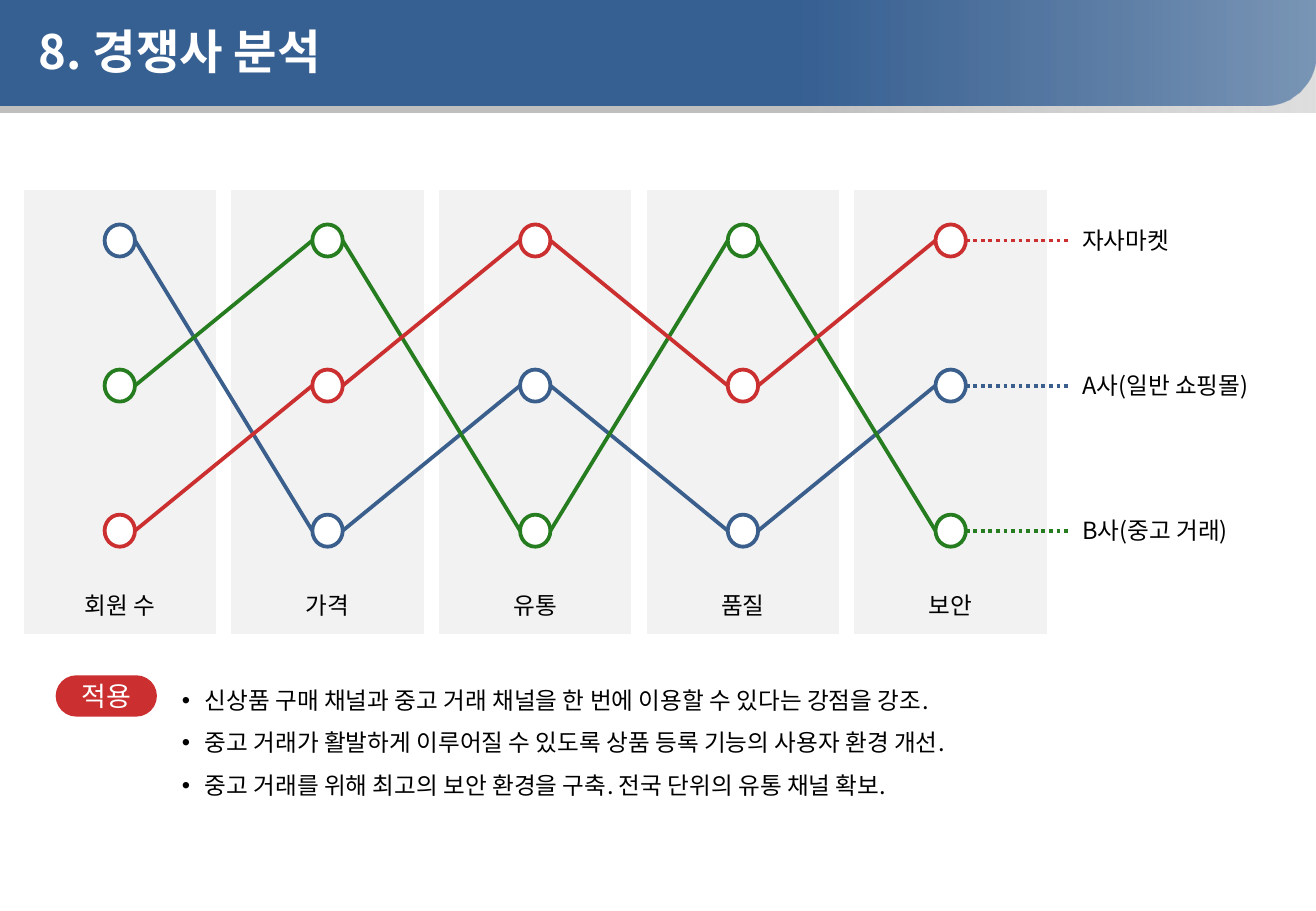
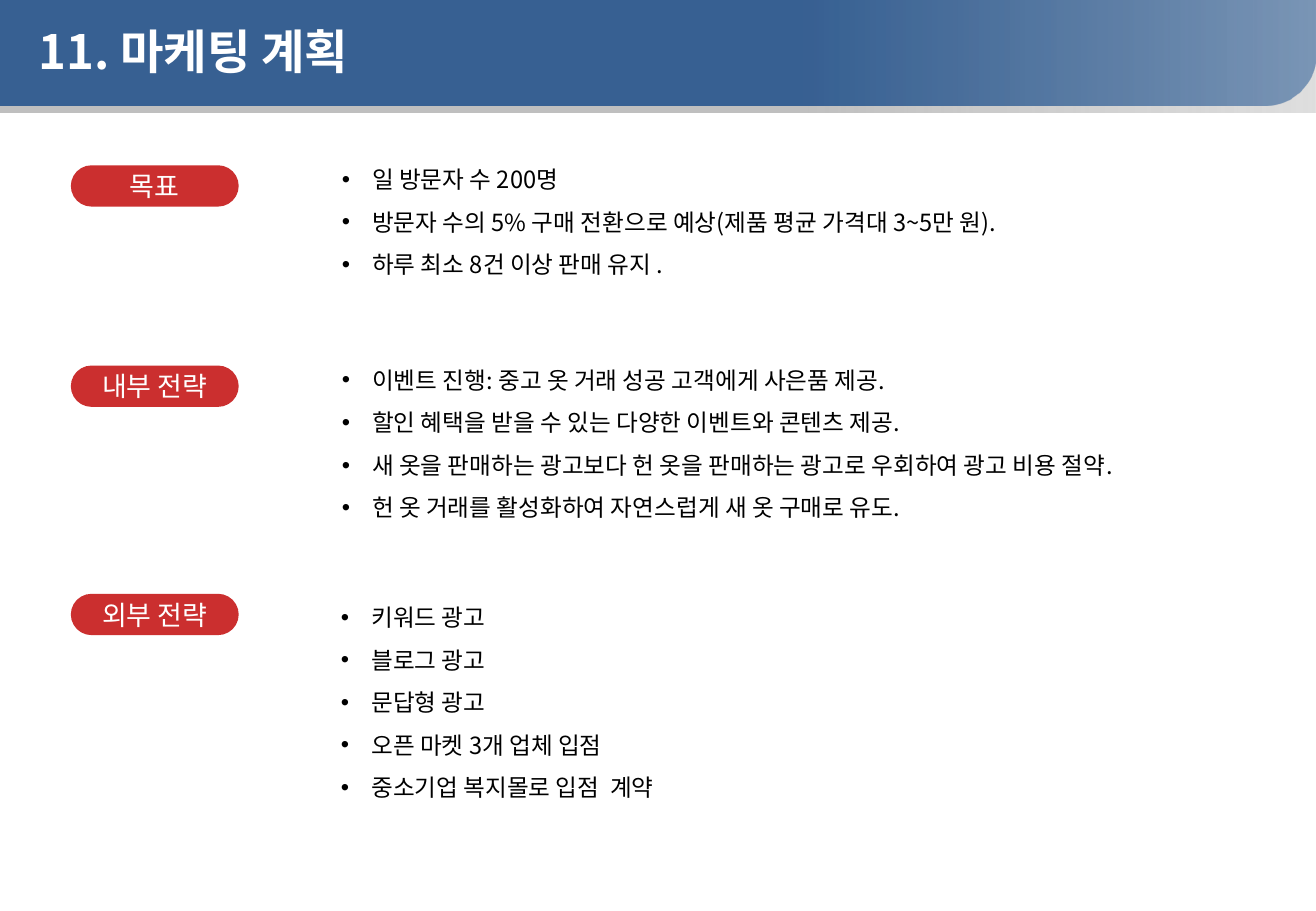
import lxml.etree
import pptx
import pptx.dml.color
import pptx.enum.dml
import pptx.enum.shapes
import pptx.enum.text
import pptx.oxml.ns
import pptx.util

Pt = pptx.util.Pt
RGB = pptx.dml.color.RGBColor.from_string
SHAPE = pptx.enum.shapes.MSO_SHAPE
ALIGN = pptx.enum.text.PP_ALIGN
ANCHOR = pptx.enum.text.MSO_ANCHOR
qn = pptx.oxml.ns.qn

FONT = "Noto Sans CJK KR"
COLORS = {
    "white": "FFFFFF", "black": "000000", "panel": "F2F2F2",
    "band": "376092", "band_end": "3A679C", "band_edge": "BFBFBF",
    "blue": "3A5F8C", "green": "267D1F", "red": "CB2F2F",
}


def write_text(shape, text, size=14, color="black", bold=False, align=ALIGN.LEFT,
               anchor=ANCHOR.TOP, bullet_indent=None):
    """Write one paragraph per line of text; bullet_indent makes them spaced bullets."""
    frame = shape.text_frame
    frame.word_wrap = True
    frame.vertical_anchor = anchor
    for index, line in enumerate(text.split("\n")):
        paragraph = frame.add_paragraph() if index else frame.paragraphs[0]
        paragraph.alignment = align
        run = paragraph.add_run()
        run.text = line
        run.font.name = FONT
        run.font.size = Pt(size)
        run.font.bold = bold
        run.font.color.rgb = RGB(COLORS[color])
        lxml.etree.SubElement(run._r.get_or_add_rPr(), qn("a:ea"), typeface=FONT)
        if bullet_indent:
            paragraph.line_spacing = 1.5
            properties = paragraph._p.get_or_add_pPr()
            properties.set("marL", str(Pt(bullet_indent)))
            properties.set("indent", str(-Pt(bullet_indent)))
            lxml.etree.SubElement(properties, qn("a:buFont"), typeface="Arial")
            lxml.etree.SubElement(properties, qn("a:buChar"), char="•")


def add_shape(slide, kind, left, top, width, height, fill, line=None, line_width=0):
    shape = slide.shapes.add_shape(kind, Pt(left), Pt(top), Pt(width), Pt(height))
    shape.shadow.inherit = False
    shape.fill.solid()
    shape.fill.fore_color.rgb = RGB(COLORS[fill])
    if line:
        shape.line.color.rgb = RGB(COLORS[line])
        shape.line.width = Pt(line_width)
    else:
        shape.line.fill.background()
    return shape


presentation = pptx.Presentation()
presentation.slide_width = Pt(780)
presentation.slide_height = Pt(540)

# Title band on every slide
BANDS = [
    (SHAPE.RECTANGLE, 67, "band_edge", "band_edge", 50),
    (SHAPE.ROUND_1_RECTANGLE, 62.6, "band", "band_end", 60),
]
slides = []
for title in ["8. 경쟁사 분석", "11. 마케팅 계획"]:
    slide = presentation.slides.add_slide(presentation.slide_layouts[6])
    slides.append(slide)
    for kind, height, start_color, end_color, opacity in BANDS:
        band = add_shape(slide, kind, 0, 0, 780, height, start_color)
        band.fill.gradient()
        band.fill.gradient_angle = 0
        start, end = band.fill.gradient_stops
        start.position, end.position = 0.6, 1
        start.color.rgb = RGB(COLORS[start_color])
        end.color.rgb = RGB(COLORS[end_color])
        end_fill = band.element.xpath(".//a:gs/a:srgbClr")[1]
        lxml.etree.SubElement(end_fill, qn("a:alpha"), val=str(opacity * 1000))
    band.adjustments[0] = 0.5
    band.element.xpath(".//a:xfrm")[0].set("flipV", "1")
    title_box = slide.shapes.add_textbox(Pt(16), Pt(11.5), Pt(675), Pt(37.5))
    write_text(title_box, title, size=28, color="white", bold=True, anchor=ANCHOR.MIDDLE)

competitor_slide, marketing_slide = slides

# Ranking of competitors by criterion
PANEL_LEFT, PANEL_TOP, PANEL_WIDTH, PANEL_HEIGHT = 13, 111.6, 116, 265
COLUMN_STEP, ROW_TOP, ROW_STEP = 123.12, 142.6, 86
MARKER_WIDTH, MARKER_HEIGHT = 18, 19
LEGEND_LEFT, LABEL_HEIGHT = 634.3, 24.5

for column, criterion in enumerate(["회원 수", "가격", "유통", "품질", "보안"]):
    left = PANEL_LEFT + column * COLUMN_STEP
    add_shape(competitor_slide, SHAPE.RECTANGLE, left, PANEL_TOP, PANEL_WIDTH,
              PANEL_HEIGHT, "panel", "white", 2)
    label = competitor_slide.shapes.add_textbox(
        Pt(left), Pt(347), Pt(PANEL_WIDTH), Pt(LABEL_HEIGHT))
    write_text(label, criterion, align=ALIGN.CENTER)

COMPETITORS = [
    ("A사(일반 쇼핑몰)", "blue", [0, 2, 1, 2, 1]),
    ("B사(중고 거래)", "green", [1, 0, 2, 0, 2]),
    ("자사마켓", "red", [2, 1, 0, 1, 0]),
]
for name, color, ranks in COMPETITORS:
    centers = [(PANEL_LEFT + PANEL_WIDTH / 2 + column * COLUMN_STEP, ROW_TOP + rank * ROW_STEP)
               for column, rank in enumerate(ranks)]
    legend_y = centers[-1][1]
    line_ends = [(x - MARKER_WIDTH / 2, y) for x, y in centers[1:]] + [(LEGEND_LEFT, legend_y)]
    for (x, y), (end_x, end_y) in zip(centers, line_ends):
        connector = competitor_slide.shapes.add_connector(
            pptx.enum.shapes.MSO_CONNECTOR.STRAIGHT,
            Pt(x + MARKER_WIDTH / 2), Pt(y), Pt(end_x), Pt(end_y))
        connector.line.color.rgb = RGB(COLORS[color])
        connector.line.width = Pt(2.25)
        if end_x == LEGEND_LEFT:
            connector.line.dash_style = pptx.enum.dml.MSO_LINE.ROUND_DOT
        lxml.etree.SubElement(connector.element.spPr, qn("a:effectLst"))
        add_shape(competitor_slide, SHAPE.OVAL, x - MARKER_WIDTH / 2, y - MARKER_HEIGHT / 2,
                  MARKER_WIDTH, MARKER_HEIGHT, "white", color, 2.25)
    legend = competitor_slide.shapes.add_textbox(
        Pt(LEGEND_LEFT), Pt(legend_y - LABEL_HEIGHT / 2), Pt(132), Pt(LABEL_HEIGHT))
    write_text(legend, name)

# Red headings with their bullet lists:
# slide, heading, (left, top, width), list (left, top, width), indent, bullets
SECTIONS = [
    (competitor_slide, "적용", (33, 400.3, 60), (100.8, 394.6, 493), 13.5,
     "신상품 구매 채널과 중고 거래 채널을 한 번에 이용할 수 있다는 강점을 강조.\n"
     "중고 거래가 활발하게 이루어질 수 있도록 상품 등록 기능의 사용자 환경 개선.\n"
     "중고 거래를 위해 최고의 보안 환경을 구축. 전국 단위의 유통 채널 확보."),
    (marketing_slide, "목표", (42, 98, 99.5), (195.5, 85.8, 545), 18,
     "일 방문자 수 200명\n"
     "방문자 수의 5% 구매 전환으로 예상(제품 평균 가격대 3~5만 원).\n"
     "하루 최소 8건 이상 판매 유지 ."),
    (marketing_slide, "내부 전략", (42, 216.7, 99.5), (195.5, 204.8, 545), 18,
     "이벤트 진행: 중고 옷 거래 성공 고객에게 사은품 제공.\n"
     "할인 혜택을 받을 수 있는 다양한 이벤트와 콘텐츠 제공.\n"
     "새 옷을 판매하는 광고보다 헌 옷을 판매하는 광고로 우회하여 광고 비용 절약.\n"
     "헌 옷 거래를 활성화하여 자연스럽게 새 옷 구매로 유도."),
    (marketing_slide, "외부 전략", (42, 352, 99.5), (195, 345.5, 545), 18,
     "키워드 광고\n블로그 광고\n문답형 광고\n오픈 마켓 3개 업체 입점\n중소기업 복지몰로 입점  계약"),
]
for slide, heading, heading_place, list_place, indent, bullets in SECTIONS:
    pill = add_shape(slide, SHAPE.ROUNDED_RECTANGLE, *heading_place, LABEL_HEIGHT, "red")
    pill.adjustments[0] = 0.5
    write_text(pill, heading, size=16, color="white", align=ALIGN.CENTER, anchor=ANCHOR.MIDDLE)
    left, top, width = list_place
    line_count = bullets.count("\n") + 1
    bullet_box = slide.shapes.add_textbox(
        Pt(left), Pt(top), Pt(width), Pt(7.2 + 25.2 * line_count))
    write_text(bullet_box, bullets, bullet_indent=indent)

presentation.save("out.pptx")
